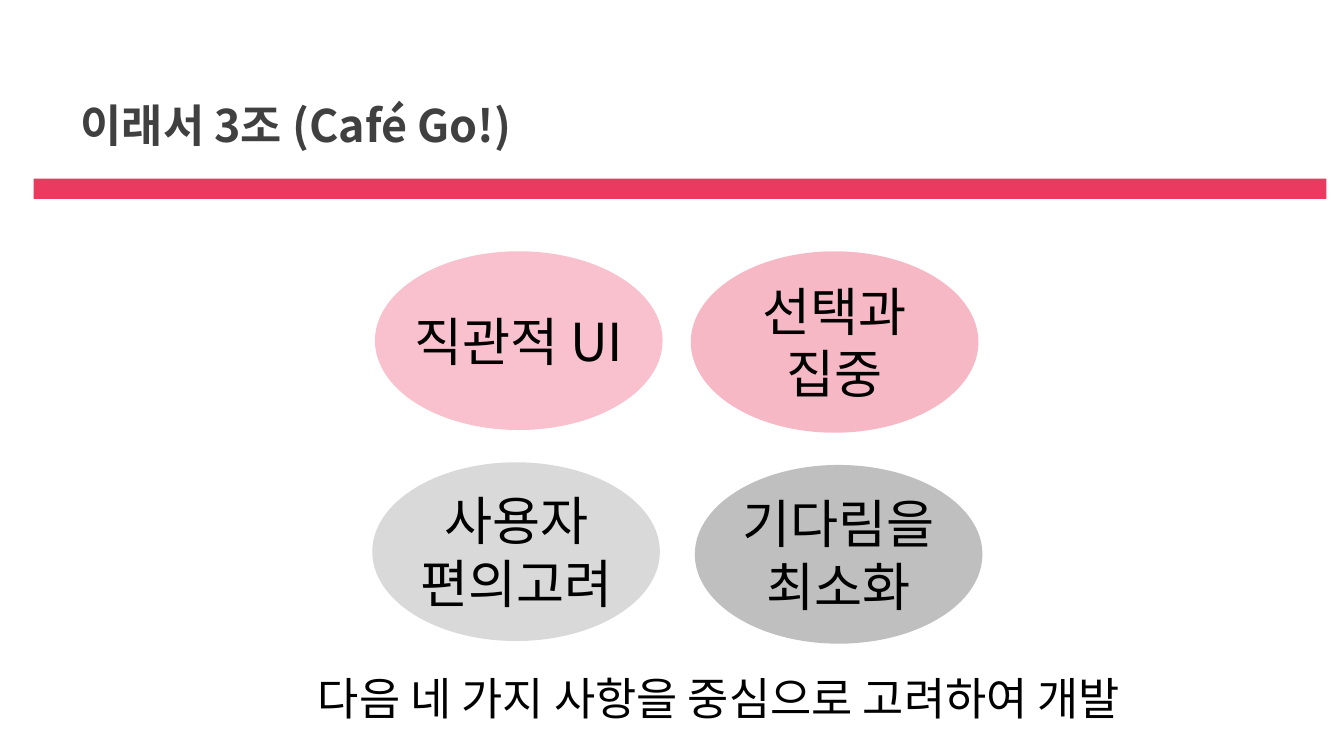
from lxml import etree
from pptx import Presentation
from pptx.dml.color import RGBColor
from pptx.enum import shapes, text
from pptx.oxml.ns import qn
from pptx.util import Inches, Pt

FONT = "Noto Sans CJK KR"


def box(*lengths):
    return [Inches(v) for v in lengths]


def color(value):
    return RGBColor.from_string(value)


def set_text(tf, lines, size, hex_color, bold=False, align=text.PP_ALIGN.CENTER):
    tf.word_wrap = True
    tf.text = "\n".join(lines)
    for p in tf.paragraphs:
        p.alignment = align
        p.line_spacing = 1.0
        p.space_before = Pt(0)
        f = p.font
        f.name, f.size, f.bold = FONT, Pt(size), bold
        f.color.rgb = color(hex_color)
        for r in p.runs:
            r.font.name = FONT
            etree.SubElement(r.font._element, qn("a:ea"), typeface=FONT)


def add_filled(parent, kind, at, fill, alpha=100):
    sp = parent.add_shape(kind, *box(*at))
    sp.shadow.inherit = False
    sp.line.fill.background()
    sp.fill.solid()
    sp.fill.fore_color.rgb = color(fill)
    if alpha < 100:
        clr = sp.fill._xPr.find(qn("a:solidFill"))[0]
        etree.SubElement(clr, qn("a:alpha"), val=str(alpha * 1000))


def add_text(parent, at, lines, size):
    tf = parent.add_textbox(*box(*at)).text_frame
    set_text(tf, lines, size, "000000")
    tf.auto_size = text.MSO_AUTO_SIZE.SHAPE_TO_FIT_TEXT


def add_header(slide, x, y, w, h):
    add_filled(slide.shapes, shapes.MSO_SHAPE.RECTANGLE, (x, y, w, h), "EA3A60")
    title = slide.shapes.title
    title.left, title.top, title.width, title.height = box(x + 0.25, y - 1.03, 9, 1.25)
    set_text(title.text_frame, ["이래서 3조 (Café Go!)"], 24, "404040",
             bold=True, align=text.PP_ALIGN.LEFT)
    title.text_frame.vertical_anchor = text.MSO_ANCHOR.MIDDLE


def add_value(slide, x, y, w, h, lines, fill, alpha=100):
    """An oval with its label centred on it, in one group."""
    group = slide.shapes.add_group_shape().shapes
    add_filled(group, shapes.MSO_SHAPE.OVAL, (x, y, w, h), fill, alpha)
    label_w, label_h = 2.4, 0.1 + 0.47 * len(lines)
    add_text(group, (x + (w - label_w) / 2, y + (h - label_h) / 2, label_w, label_h),
             lines, 28)


def main():
    prs = Presentation()
    prs.slide_width = Inches(10)
    prs.slide_height = prs.slide_width * 9 // 16
    slide = prs.slides.add_slide(prs.slide_layouts[5])

    add_header(slide, 0.25, 1.33, 9.62, 0.15)
    values = [
        (2.79, 1.87, 1.33, ["직관적 UI"], "F2869D", 51),
        (5.14, 1.87, 1.35, ["선택과", "집중"], "F2869D", 58),
        (2.77, 3.44, 1.33, ["사용자", "편의고려"], "D9D9D9", 100),
        (5.17, 3.46, 1.33, ["기다림을", "최소화"], "BFBFBF", 100),
    ]
    for x, y, h, lines, fill, alpha in values:
        add_value(slide, x, y, 2.14, h, lines, fill, alpha)
    add_text(slide.shapes, (1.71, 4.94, 7.28, 0.49),
             ["다음 네 가지 사항을 중심으로 고려하여 개발"], 24)

    prs.save("out.pptx")


if __name__ == "__main__":
    main()
